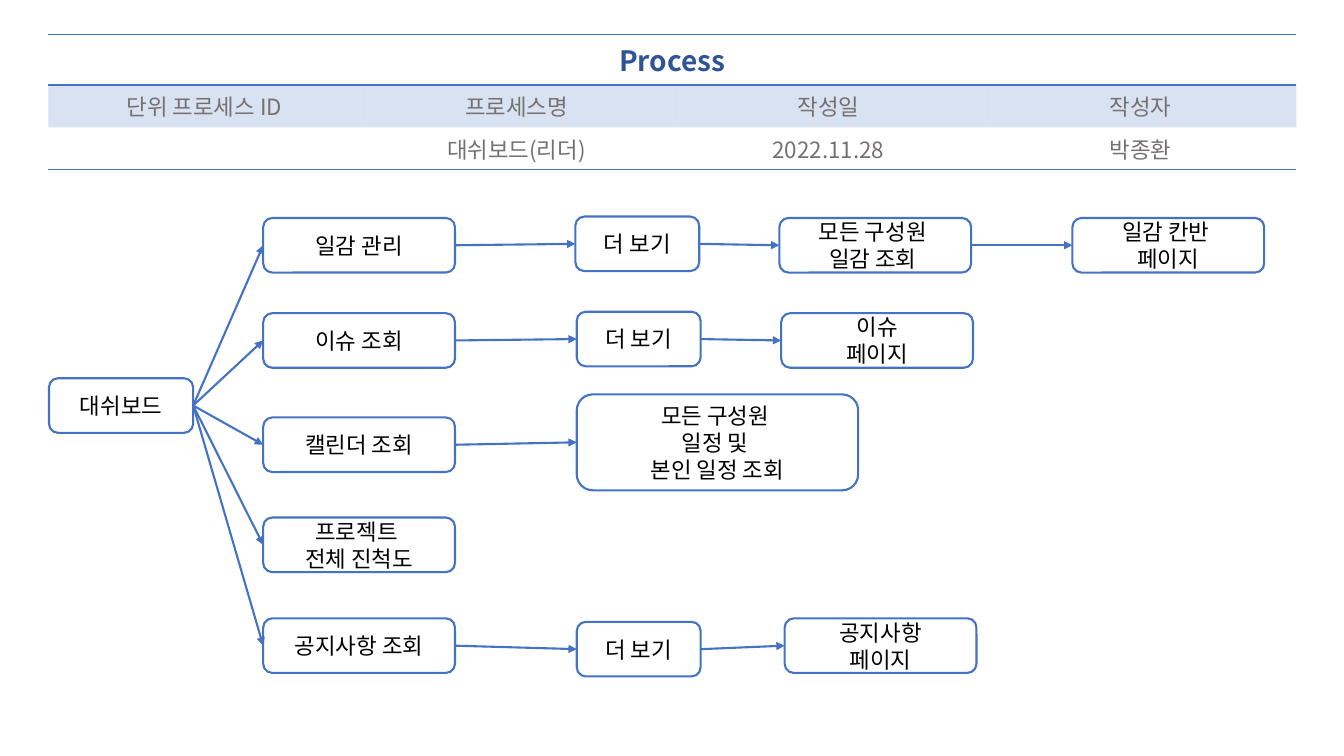
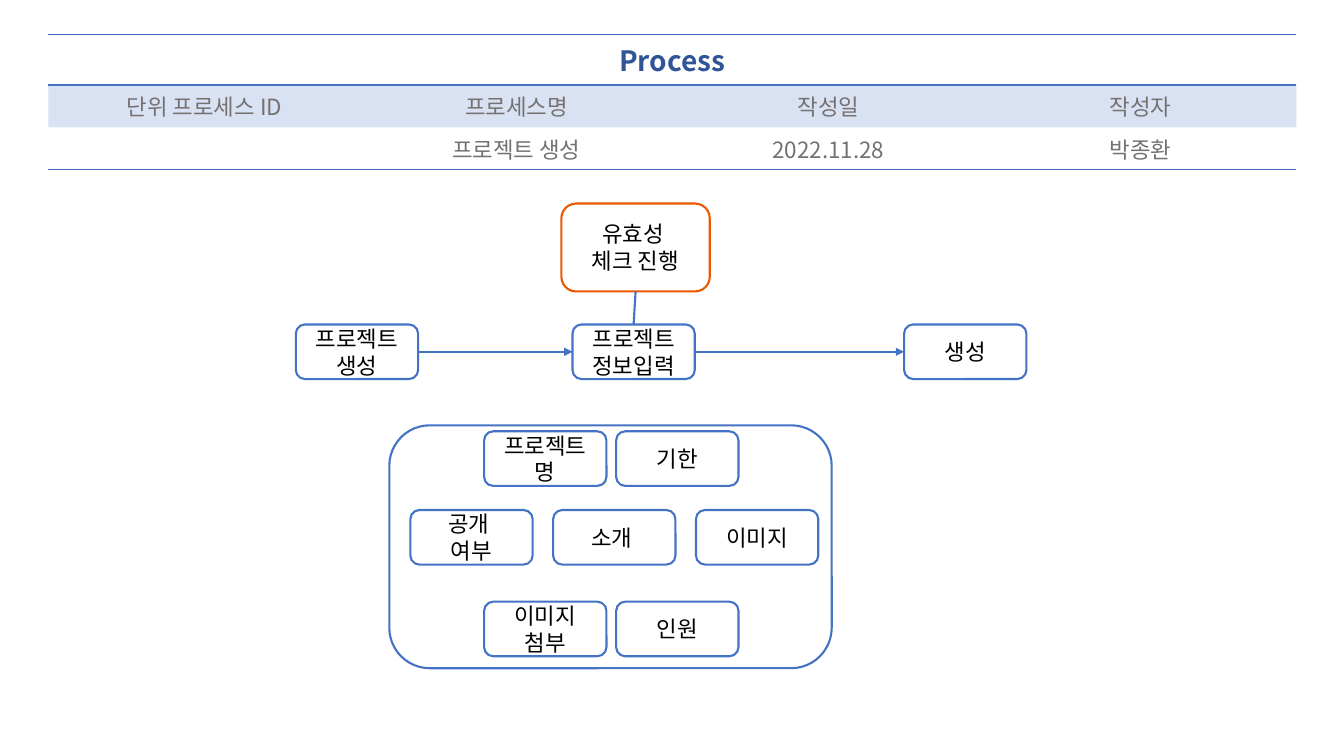
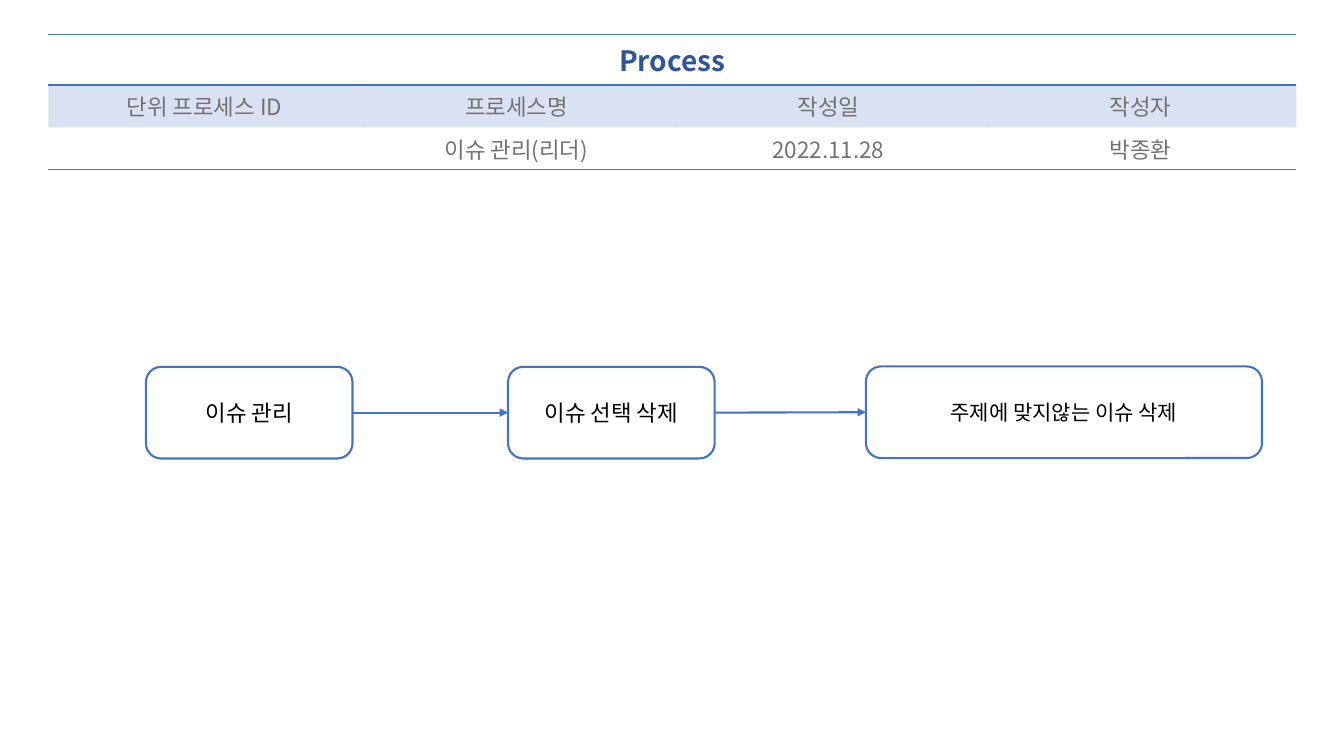
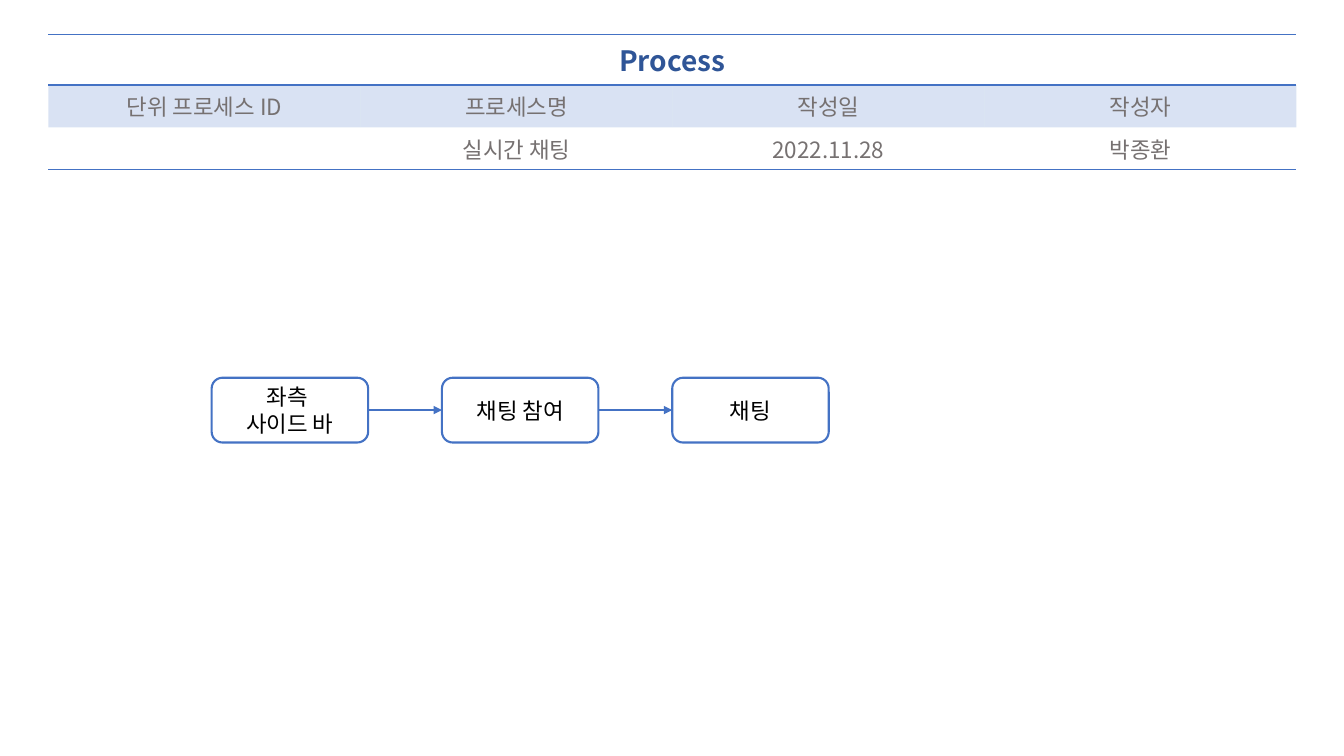
from pptx import Presentation
from pptx.dml.color import RGBColor
from pptx.enum.shapes import MSO_CONNECTOR, MSO_SHAPE
from pptx.enum.text import MSO_ANCHOR, PP_ALIGN
from pptx.oxml.ns import qn
from pptx.util import Pt
from lxml.etree import SubElement

# Shared look
COLORS = {"line": "4472C4", "alert": "EB5800", "title": "2F5597",
          "label": "767171", "text": "000000", "box": "FFFFFF"}
FONT = "Noto Sans CJK KR"
FORMATS = {
    "title": {"size": Pt(20), "bold": True},
    "label": {"size": Pt(16), "bold": False},
    "text": {"size": Pt(16)},
    "small": {"size": Pt(15)},
}
NO_STYLE = "{2D5ABB26-0587-4C30-8999-92F81FD0307C}"
HEADER_BOX = (34.6, 24.5, 891.4)
HEADER_ROWS = (33, 27.4, 27.4)
HEADER_LABELS = ("단위 프로세스 ID", "프로세스명", "작성일", "작성자")
WRITTEN, WRITER = "2022.11.28", "박종환"
TOP, LEFT, BOTTOM, RIGHT = range(4)  # connection sites of a box


def rgb(name):
    return RGBColor.from_string(COLORS[name])


def write(frame, text, role):
    """Centred text in one of the shared formats; \\n starts a paragraph."""
    frame.text = text
    for paragraph in frame.paragraphs:
        paragraph.alignment = PP_ALIGN.CENTER
        for run in paragraph.runs:
            for attribute, value in FORMATS[role].items():
                setattr(run.font, attribute, value)
            run.font.name = FONT
            run.font.color.rgb = rgb(role if role in COLORS else "text")
            SubElement(run.font._element, qn("a:ea")).set("typeface", FONT)
        if not text:
            paragraph._p.get_or_add_endParaRPr().set("sz", "1600")


# Header table
def rule(cell, *sides):
    for side in sides:
        line = SubElement(cell._tc.get_or_add_tcPr(), qn(f"a:{side}"), w=str(Pt(1)))
        SubElement(SubElement(line, qn("a:solidFill")), qn("a:srgbClr"),
                   val=COLORS["line"])


def header(slide, process, box=HEADER_BOX):
    left, top, width = box
    table = slide.shapes.add_table(3, 4, Pt(left), Pt(top), Pt(width),
                                   Pt(sum(HEADER_ROWS))).table
    table._tbl.tblPr.find(qn("a:tableStyleId")).text = NO_STYLE
    table.first_row = table.horz_banding = False
    for row, height in zip(table.rows, HEADER_ROWS):
        row.height = Pt(height)

    for title_cell in table.rows[0].cells:
        rule(title_cell, "lnT", "lnB")
        title_cell.fill.background()
    table.cell(0, 0).merge(table.cell(0, 3))
    write(table.cell(0, 0).text_frame, "Process", "title")

    for column, value in enumerate(("", process, WRITTEN, WRITER)):
        label_cell, value_cell = table.cell(1, column), table.cell(2, column)
        write(label_cell.text_frame, HEADER_LABELS[column], "label")
        label_cell.fill.solid()
        label_cell.fill.fore_color.rgb = rgb("line")
        tint = next(label_cell._tc.tcPr.iter(qn("a:srgbClr")))
        SubElement(tint, qn("a:alpha"), val="20000")
        write(value_cell.text_frame, value, "label")
        rule(value_cell, "lnB")
        value_cell.fill.background()


# Flow parts
def step(slide, text, left, top, width, height, outline="line", role="text", filled=True):
    box = slide.shapes.add_shape(MSO_SHAPE.ROUNDED_RECTANGLE,
                                 Pt(left), Pt(top), Pt(width), Pt(height))
    box.shadow.inherit = False
    if filled:
        box.fill.solid()
        box.fill.fore_color.rgb = rgb("box")
    else:
        box.fill.background()
    box.line.color.rgb = rgb(outline)
    box.line.width = Pt(1.5)
    box.text_frame.vertical_anchor = MSO_ANCHOR.MIDDLE
    if text:
        write(box.text_frame, text, role)
    return box


def link(slide, start, end, sites=(RIGHT, LEFT), arrow=True):
    connector = slide.shapes.add_connector(MSO_CONNECTOR.STRAIGHT, 0, 0, 0, 0)
    connector.begin_connect(start, sites[0])
    connector.end_connect(end, sites[1])
    connector.line.color.rgb = rgb("line")
    connector.line.width = Pt(1.5)
    if arrow:
        SubElement(connector.line._get_or_add_ln(), qn("a:tailEnd"), type="triangle")
    SubElement(connector._element.spPr, qn("a:effectLst"))


def chain(slide, origin, steps):
    """Steps joined left to right; each is text, left, top, width, height, role."""
    x, y = origin
    boxes = [step(slide, text, x + left, y + top, width, height, role=role)
             for text, left, top, width, height, role in steps]
    for start, end in zip(boxes, boxes[1:]):
        link(slide, start, end)
    return boxes


def even_chain(slide, origin, texts, size, pitch):
    return chain(slide, origin, [(text, i * pitch, 0, *size, "text")
                                 for i, text in enumerate(texts)])


# Slide bodies
def dashboard(slide, origin):
    x, y = origin
    branch, more = (137, 39, "text"), (88.5, 39, "text")
    branches = [
        (0, [("일감 관리", 0, 0, *branch),
             ("더 보기", 223, -1, *more),
             ("모든 구성원 \n일감 조회 ", 368.7, 0, *branch),
             ("일감 칸반 \n페이지", 578, 0, *branch)]),
        (68, [("이슈 조회", 0, 0, *branch),
              ("더 보기", 224, -1, *more),
              ("이슈\n페이지", 370, 0, *branch)]),
        (142.5, [("캘린더 조회", 0, 0, *branch),
                 ("모든 구성원 \n일정 및 \n본인 일정 조회", 224, -16.5, 201, 68.5, "text")]),
        (214, [("프로젝트 \n전체 진척도", 0, 0, *branch)]),
        (286, [("공지사항 조회", 0, 0, *branch),
               ("더 보기", 224, 2.5, *more),
               ("공지사항\n페이지", 372.5, 0, *branch)]),
    ]
    root = step(slide, "대쉬보드", x - 153, y + 114.5, 103, 39)
    for drop, steps in branches:
        link(slide, root, chain(slide, (x, y + drop), steps)[0])


def project_fields(slide, box):
    left, top, width, height = box
    fields = [
        (4.3, 67.7, 94.3, ("프로젝트 명", "기한")),
        (60.5, 15, 102, ("공개 \n여부", "소개 ", "이미지")),
        (126, 67.7, 94.3, ("이미지 첨부", "인원")),
    ]
    for drop, indent, pitch, names in fields:
        for i, name in enumerate(names):
            step(slide, name, left + indent + i * pitch, top + drop, 87.4, 39)
    step(slide, "", left, top, width, height, filled=False)


def project_creation(slide, origin):
    x, y = origin
    size = (87.4, 39, "text")
    _, entry, _ = chain(slide, origin, [("프로젝트 생성", 0, 0, *size),
                                        ("프로젝트 정보입력", 197.6, 0, *size),
                                        ("생성", 434.5, 0, *size)])
    check = step(slide, "유효성 \n체크 진행", x + 189.7, y - 86.4, 106, 62.8, outline="alert")
    link(slide, entry, check, (TOP, BOTTOM), arrow=False)
    project_fields(slide, (x + 66.8, y + 72, 316, 173.5))


def issue_management(slide, origin):
    chain(slide, origin, [("이슈 관리", 0, 0, 147.6, 65.5, "text"),
                          ("이슈 선택 삭제", 258.7, 0, 147.6, 65.5, "text"),
                          ("주제에 맞지않는 이슈 삭제", 514.3, -0.3, 283, 65.5, "small")])


def live_chat(slide, origin):
    even_chain(slide, origin, ("좌측 \n사이드 바", "채팅 참여", "채팅"), (111.8, 46.3), 164.5)


def main():
    deck = Presentation()
    deck.slide_width, deck.slide_height = Pt(960), Pt(540)
    pages = [
        ("대쉬보드(리더)", dashboard, (188, 155.7)),
        ("프로젝트 생성", project_creation, (211.3, 231.8)),
        ("이슈 관리(리더)", issue_management, (104.2, 262)),
        ("실시간 채팅", live_chat, (151.2, 269.8)),
    ]
    for process, body, origin in pages:
        slide = deck.slides.add_slide(deck.slide_layouts[6])
        header(slide, process)
        body(slide, origin)
    deck.save("out.pptx")


if __name__ == "__main__":
    main()
